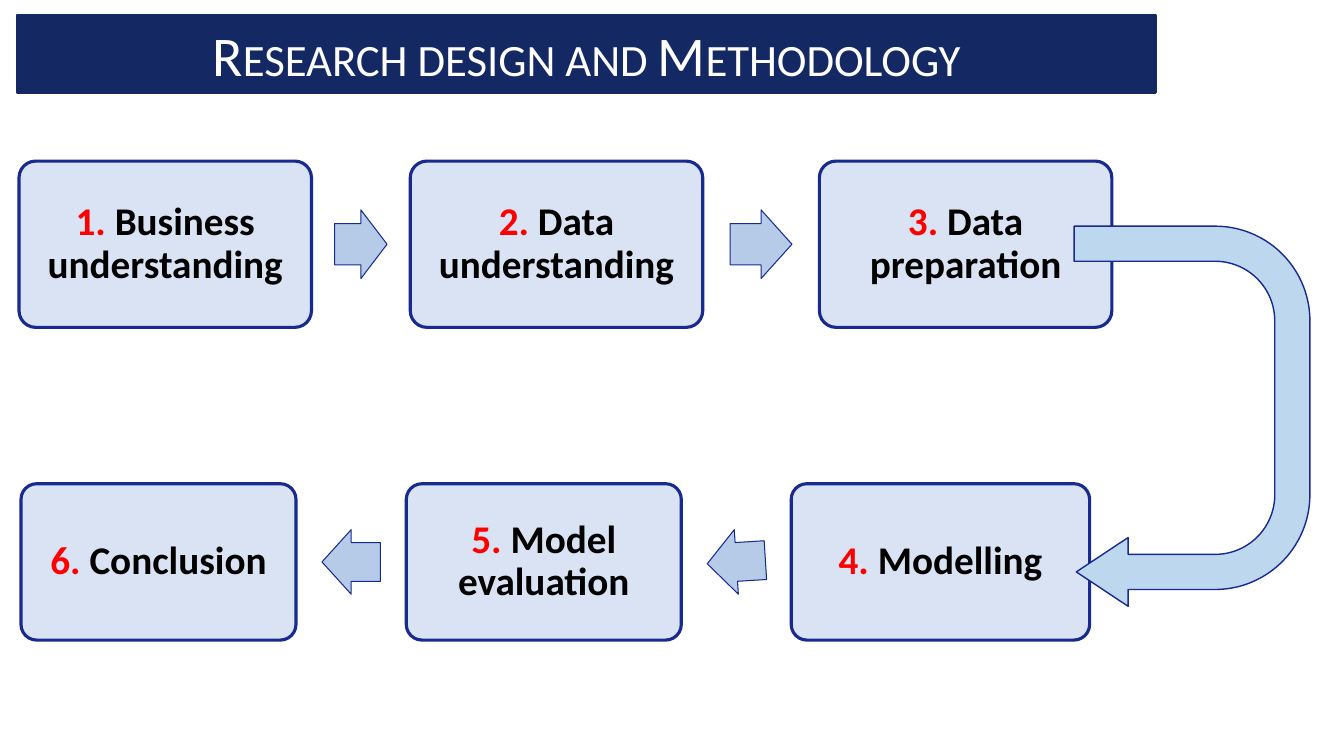
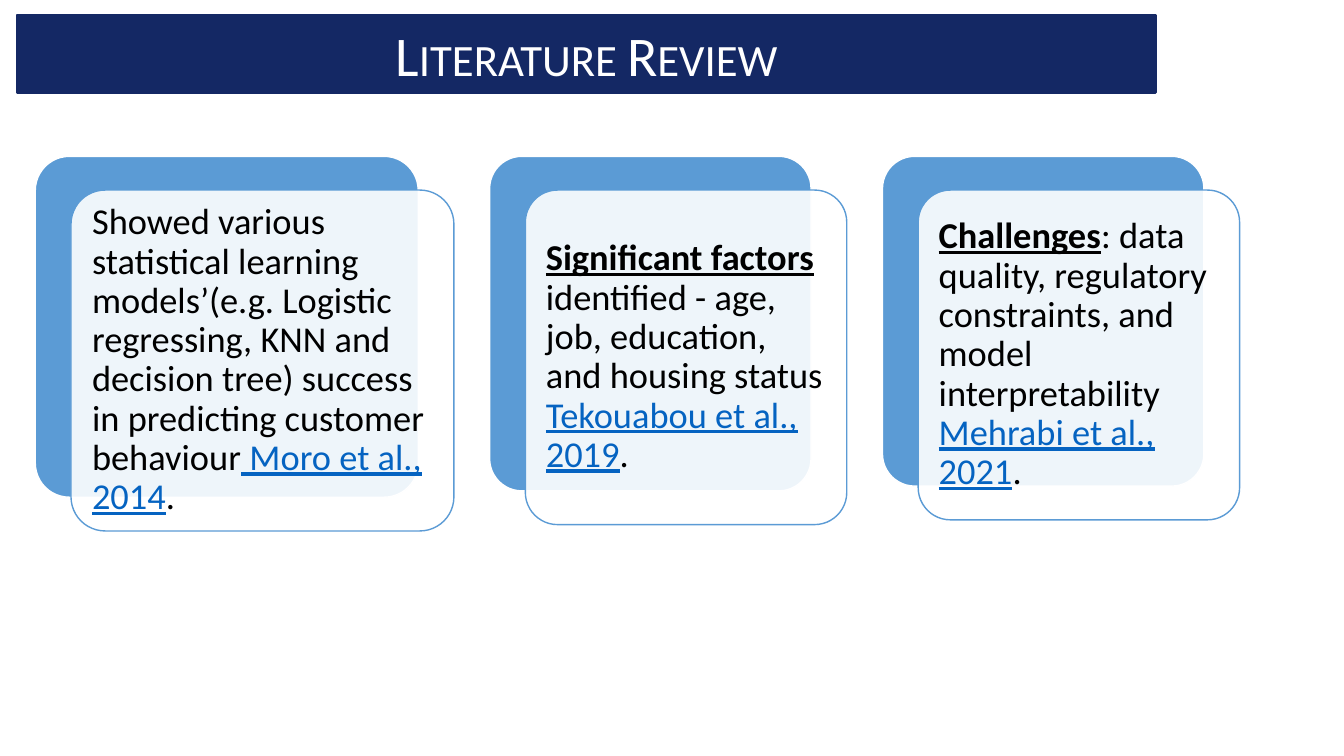
from dataclasses import dataclass
from itertools import pairwise

from lxml import etree
from pptx import Presentation
from pptx import util as u
from pptx.dml.color import RGBColor
from pptx.enum import shapes, text
from pptx.oxml.ns import qn


@dataclass(frozen=True)
class Theme:
    font: str = "Calibri"
    title_size: int = 40
    step_size: int = 28
    card_size: int = 26
    band: str = "142864"
    white: str = "FFFFFF"
    black: str = "000000"
    number: str = "FF0000"
    link: str = "0563C1"
    outline: str = "182990"
    step: str = "DAE3F3"
    arrow: str = "B5CBE7"
    turn: str = "BDD7EE"
    card: str = "5B9BD5"


T = Theme()
SHAPE = shapes.MSO_SHAPE


def rgb(value):
    return RGBColor.from_string(value)


def paint(sp, fill, line, width):
    sp.fill.solid()
    sp.fill.fore_color.rgb = rgb(fill)
    sp.line.color.rgb = rgb(line)
    sp.line.width = u.Pt(width)


def add_shape(s, kind, box, fill, line, width, adj=(), rotation=0):
    """Add a flat shape; box is left, top, width, height in centimetres."""
    sp = s.shapes.add_shape(kind, *map(u.Cm, box))
    sp.shadow.inherit = False
    paint(sp, fill, line, width)
    for i, value in enumerate(adj):
        sp.adjustments[i] = value
    sp.rotation = rotation
    return sp


def add_run(p, words, size, color, bold=False, underline=False):
    r = p.add_run()
    r.text = words
    f = r.font
    f.name, f.size, f.bold, f.underline = T.font, u.Pt(size), bold, underline
    f.color.rgb = rgb(color)
    return r


def fill_text(sp, runs, size, align, inset):
    """Write runs given as (words, color, bold, underline)."""
    tf = sp.text_frame
    tf.word_wrap = True
    tf.vertical_anchor = text.MSO_ANCHOR.MIDDLE
    tf.margin_left = tf.margin_right = tf.margin_top = tf.margin_bottom = u.Cm(inset)
    p = tf.paragraphs[0]
    p.alignment = align
    p.line_spacing = 0.9
    for words, *style in runs:
        add_run(p, words, size, *style)


def titled_slide(prs, title):
    s = prs.slides.add_slide(prs.slide_layouts[5])
    sp = s.shapes.title
    sp.left, sp.top, sp.width, sp.height = map(u.Cm, (0.43, 0.38, 28.7, 1.96))
    paint(sp, T.band, T.band, 2)
    tf = sp.text_frame
    tf.word_wrap = True
    tf.auto_size = text.MSO_AUTO_SIZE.NONE
    tf.vertical_anchor = text.MSO_ANCHOR.MIDDLE
    p = tf.paragraphs[0]
    p.alignment = text.PP_ALIGN.CENTER
    r = add_run(p, title, T.title_size, T.white)
    r.font._element.set("cap", "small")
    return s


def step_row(s, top, height, steps, rotations):
    """Place steps (left, width, number, label) and an arrow in each gap."""
    for left, width, number, label in steps:
        sp = add_shape(s, SHAPE.ROUNDED_RECTANGLE, (left, top, width, height),
                       T.step, T.outline, 2.25, [0.1])
        runs = [(f"{number}. ", T.number, True), (label, T.black, True)]
        fill_text(sp, runs, T.step_size, text.PP_ALIGN.CENTER, 0.3)
    for (a, b), rotation in zip(pairwise(steps), rotations):
        start = min(a[0] + a[1], b[0] + b[1])
        gap = max(a[0], b[0]) - start
        w, h = 0.53 * gap, 0.235 * min(a[1], b[1])
        box = (start + (gap - w) / 2, top + (height - h) / 2, w, h)
        add_shape(s, SHAPE.RIGHT_ARROW, box, T.arrow, T.outline, 0.75,
                  [0.6, 0.5], rotation)


def card(s, left, top, width, height, runs):
    """Place a blue panel with a translucent text panel shifted over it."""
    add_shape(s, SHAPE.ROUNDED_RECTANGLE, (left, top, width, height),
              T.card, T.white, 1, [0.1])
    front = add_shape(s, SHAPE.ROUNDED_RECTANGLE,
                      (left + 0.9, top + 0.85, width, height),
                      T.white, T.card, 1, [0.1])
    color = front.element.spPr.find(qn("a:solidFill"))[0]
    etree.SubElement(color, qn("a:alpha"), val="90000")
    fill_text(front, runs, T.card_size, text.PP_ALIGN.LEFT, 0.28)


def methodology_slide(prs):
    s = titled_slide(prs, "Research design and Methodology")
    step_row(s, 4.06, 4.19, [
        (0.48, 7.37, 1, "Business understanding"),
        (10.34, 7.37, 2, "Data understanding"),
        (20.65, 7.37, 3, "Data preparation"),
    ], (0, 0))
    step_row(s, 12.19, 3.94, [
        (19.94, 7.52, 4, "Modelling"),
        (10.24, 6.93, 5, "Model evaluation"),
        (0.53, 6.93, 6, "Conclusion"),
    ], (176.4, 180))
    add_shape(s, SHAPE.U_TURN_ARROW, (25.25, 7.52, 9.58, 5.94), T.turn,
              T.outline, 1, [0.149, 0.146, 0.22, 0.402, 0.991], 90)


def literature_slide(prs):
    s = titled_slide(prs, "Literature Review")
    cards = [
        (9.65, 8.59, [
            ("Showed various statistical learning models’(e.g. Logistic regressing, "
             "KNN and decision tree) success in predicting customer behaviour", T.black),
            (" Moro et al., 2014", T.link, False, True)]),
        (8.1, 8.43, [
            ("Significant factors ", T.black, True, True),
            ("identified - age, job, education, and housing status ", T.black),
            ("Tekouabou et al., 2019", T.link, False, True)]),
        (8.1, 8.31, [
            ("Challenges", T.black, True, True),
            (": data quality, regulatory constraints, and model interpretability ",
             T.black),
            ("Mehrabi et al., 2021", T.link, False, True)]),
    ]
    left = 0.89
    for width, height, runs in cards:
        card(s, left, 3.94, width, height, runs + [(".", T.black)])
        left += width + 1.8


def main():
    prs = Presentation()
    prs.slide_width, prs.slide_height = u.Cm(33.87), u.Cm(19.05)
    methodology_slide(prs)
    literature_slide(prs)
    prs.save("out.pptx")


if __name__ == "__main__":
    main()
